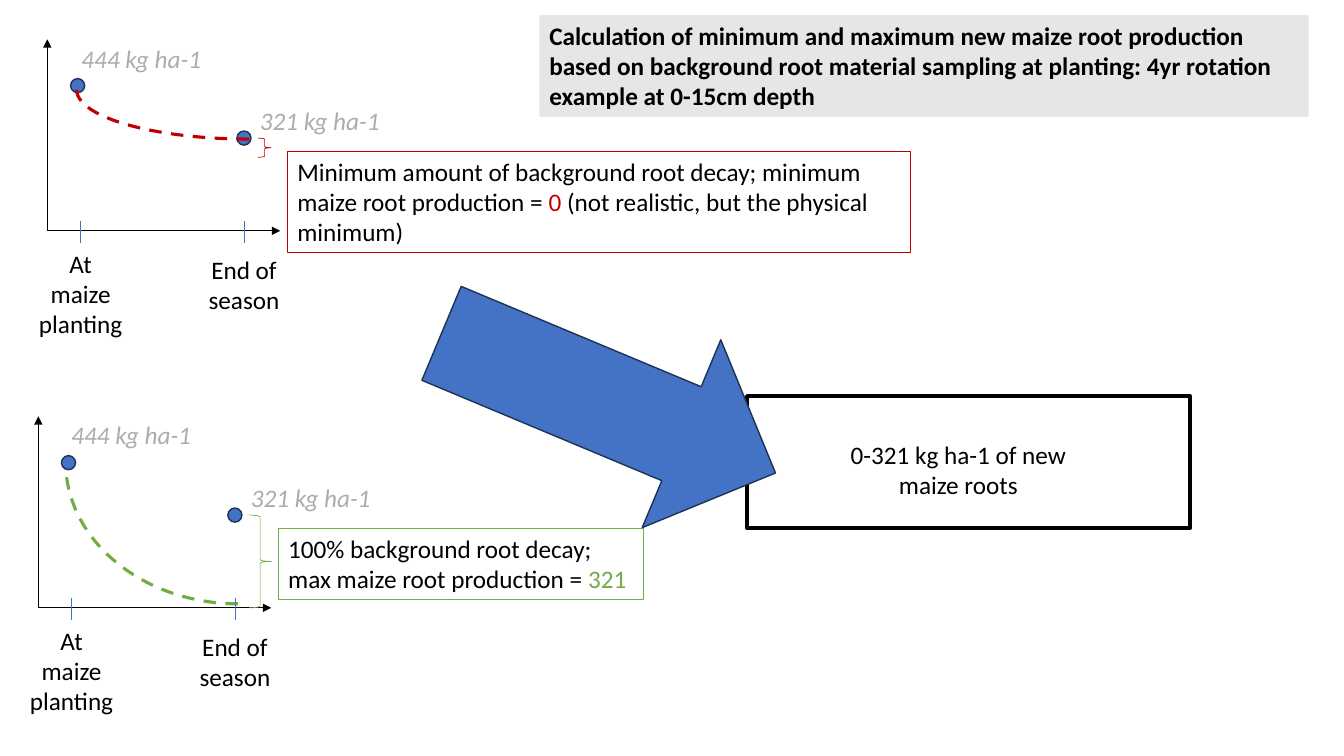
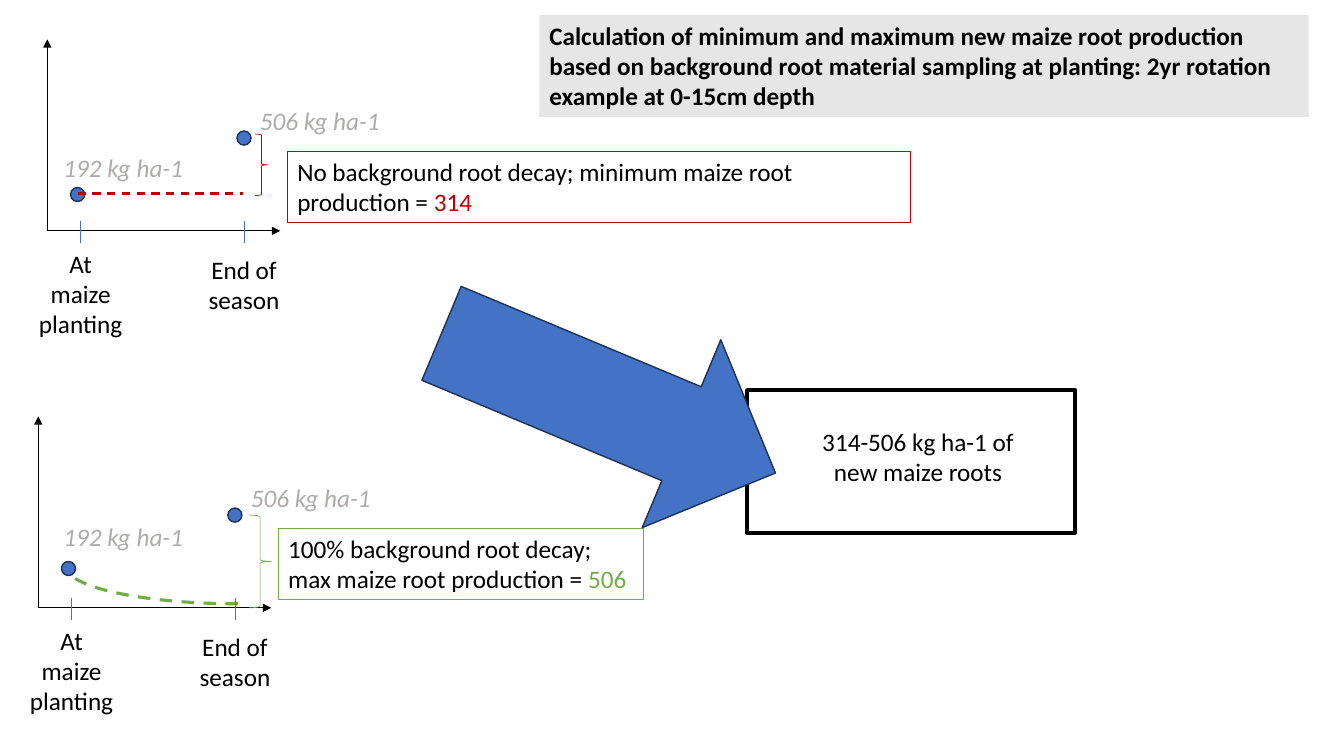
"""Two slides deriving minimum and maximum new maize root production per rotation."""
import pptx
import pptx.util
import pptx.dml.color
import pptx.enum.dml
import pptx.enum.shapes
import pptx.enum.text
import pptx.oxml
import pptx.oxml.ns
import lxml.etree

Inches = pptx.util.Inches
PRESET = pptx.enum.shapes.MSO_SHAPE
ALIGN = pptx.enum.text.PP_ALIGN
AUTO = pptx.enum.text.MSO_AUTO_SIZE
DASH = pptx.enum.dml.MSO_LINE.DASH
COLORS = {"text": "000000", "measure": "AFABAB", "blue": "4472C4", "edge": "1E3256",
          "min": "C00000", "max": "70AD47", "band": "E7E6E6"}
RGB = {name: pptx.dml.color.RGBColor.from_string(value) for name, value in COLORS.items()}


def draw(shapes, preset, box, fill=None, line=None, width=1, dash=None, rotation=0):
    shape = shapes.add_shape(preset, *map(Inches, box))
    shape.shadow.inherit = False
    shape.rotation = rotation
    if fill:
        shape.fill.solid()
        shape.fill.fore_color.rgb = RGB[fill]
    else:
        shape.fill.background()
    if line:
        shape.line.color.rgb = RGB[line]
        shape.line.width = pptx.util.Pt(width)
        shape.line.dash_style = dash
    else:
        shape.line.fill.background()
    return shape


def write(shape, *runs, align=ALIGN.LEFT, bold=False, italic=False, wrap=True):
    frame = shape.text_frame
    frame.word_wrap = wrap
    frame.auto_size = AUTO.SHAPE_TO_FIT_TEXT
    frame.vertical_anchor = pptx.enum.text.MSO_ANCHOR.TOP
    paragraph = frame.paragraphs[0]
    paragraph.alignment = align
    for text, color in runs:
        run = paragraph.add_run()
        run.text = text
        run.font.name = "Calibri"
        run.font.size = pptx.util.Pt(18)
        run.font.bold = bold
        run.font.italic = italic
        run.font.color.rgb = RGB[color]


ORIGINS = {"max": (0.38, 6.03), "min": (0.47, 2.29)}
AXES_AND_TICKS = [
    (0, 0, 0, -1.9, "text", 0.5, True), (0, 0, 2.31, 0, "text", 0.5, True),
    (0.33, -0.1, 0.33, 0.12, "blue", 0.5, False),
    (1.95, -0.1, 1.95, 0.12, "blue", 0.5, False)]
MAX_TEXT = "100% background root decay; max maize root production = "
MAX_BRACE = (2.47, 5.11, 0.22, 0.92)

rotations = [
    {"years": "4yr", "planting": "444 kg ha-1", "end": "321 kg ha-1",
     "outcome": "0-321 kg ha-1 of new maize roots",
     "outcome text": (8.28, 4.31, 2.45, 0.71), "outcome box": (7.41, 3.93, 4.39, 1.31),
     "max": {"arc": (0.65, 3.17, 3.42, 2.82), "brace": MAX_BRACE,
             "dot": 4.52, "measure": (0.61, 4.11), "note height": 0.71,
             "note": [(MAX_TEXT, "text"), ("321", "max")]},
     "min": {"arc": (0.76, 0.4, 3.42, 0.98), "brace": (2.56, 1.37, 0.13, 0.19),
             "dot": 0.78, "measure": (0.71, 0.38), "note height": 1.01,
             "note": [("Minimum amount of background root decay; minimum maize root "
                       "production = ", "text"), ("0 ", "min"),
                      ("(not realistic, but the physical minimum)", "text")]}},
    {"years": "2yr", "planting": "192 kg ha-1", "end": "506 kg ha-1",
     "outcome": "314-506 kg ha-1 of new maize roots",
     "outcome text": (7.88, 4.18, 2.45, 0.71), "outcome box": (7.41, 3.87, 3.25, 1.42),
     "max": {"arc": (0.65, 5.24, 3.42, 0.75), "brace": MAX_BRACE,
             "dot": 5.57, "measure": (0.53, 5.12), "note height": 0.71,
             "note": [(MAX_TEXT, "text"), ("506", "max")]},
     "min": {"level": (0.3, -0.37, 1.94, -0.37, "min", 1.5, False),
             "brace": (2.53, 1.33, 0.13, 0.61),
             "dot": 1.86, "measure": (0.53, 1.46), "note height": 0.71,
             "note": [("No background root decay; minimum maize root production = ", "text"),
                      ("314", "min")]}},
]

deck = pptx.Presentation()
deck.slide_width, deck.slide_height = Inches(13.33), Inches(7.5)

for rotation in rotations:
    slide = deck.slides.add_slide(deck.slide_layouts[6])

    for case, (x, y) in ORIGINS.items():
        graph = rotation[case]
        shapes = slide.shapes.add_group_shape().shapes
        if case == "max":
            draw(shapes, PRESET.ARC, graph["arc"], None, case, 2.25, DASH, 180)

        for dot_x, dot_y in [(x + 0.23, graph["dot"]), (x + 1.88, y - 0.99)]:
            draw(shapes, PRESET.OVAL, (dot_x, dot_y, 0.14, 0.14), "blue", "edge")

        lines = AXES_AND_TICKS + ([graph["level"]] if "level" in graph else [])
        for x1, y1, x2, y2, color, width, arrow in lines:
            line = shapes.add_connector(
                pptx.enum.shapes.MSO_CONNECTOR.STRAIGHT,
                Inches(x + x1), Inches(y + y1), Inches(x + x2), Inches(y + y2))
            line.line.color.rgb = RGB[color]
            line.line.width = pptx.util.Pt(width)
            if color == case:
                line.line.dash_style = DASH
            if arrow:
                tip = lxml.etree.SubElement(line.line._get_or_add_ln(),
                                            pptx.oxml.ns.qn("a:tailEnd"))
                tip.set("type", "triangle")
            lxml.etree.SubElement(line._element.spPr, pptx.oxml.ns.qn("a:effectLst"))

        for text, box in [("At maize planting", (x - 0.2, y + 0.12, 1.06, 1.01)),
                          ("End of season", (x + 1.16, y + 0.18, 1.58, 0.71))]:
            write(shapes.add_textbox(*map(Inches, box)), (text, "text"), align=ALIGN.CENTER)

        note_width = 3.62 if case == "max" else 6.18
        note = draw(shapes, PRESET.RECTANGLE,
                    (x + 2.38, y - 0.79, note_width, graph["note height"]), None, case, 0.75)
        write(note, *graph["note"])

        for moment, corner in [("planting", graph["measure"]), ("end", (x + 2.01, y - 1.29))]:
            measure = shapes.add_textbox(*map(Inches, (*corner, 1.39, 0.4)))
            write(measure, (rotation[moment], "measure"), italic=True, wrap=False)

        draw(shapes, PRESET.RIGHT_BRACE, graph["brace"], None, case, 0.5)
        if case == "min" and "arc" in graph:
            draw(shapes, PRESET.ARC, graph["arc"], None, case, 2.25, DASH, 180)

    outcome = slide.shapes.add_textbox(*map(Inches, rotation["outcome text"]))
    write(outcome, (rotation["outcome"], "text"), align=ALIGN.CENTER)
    draw(slide.shapes, PRESET.RECTANGLE, rotation["outcome box"], None, "text", 3)

    title = draw(slide.shapes, PRESET.RECTANGLE, (5.35, 0.15, 7.63, 1.01), "band")
    write(title, ("Calculation of minimum and maximum new maize root production based on "
                  "background root material sampling at planting: "
                  f"{rotation['years']} rotation example at 0-15cm depth", "text"), bold=True)
    draw(slide.shapes, PRESET.RIGHT_ARROW, (4.24, 2.99, 3.59, 2.02), "blue", "edge",
         rotation=22.7)

deck.save("out.pptx")
